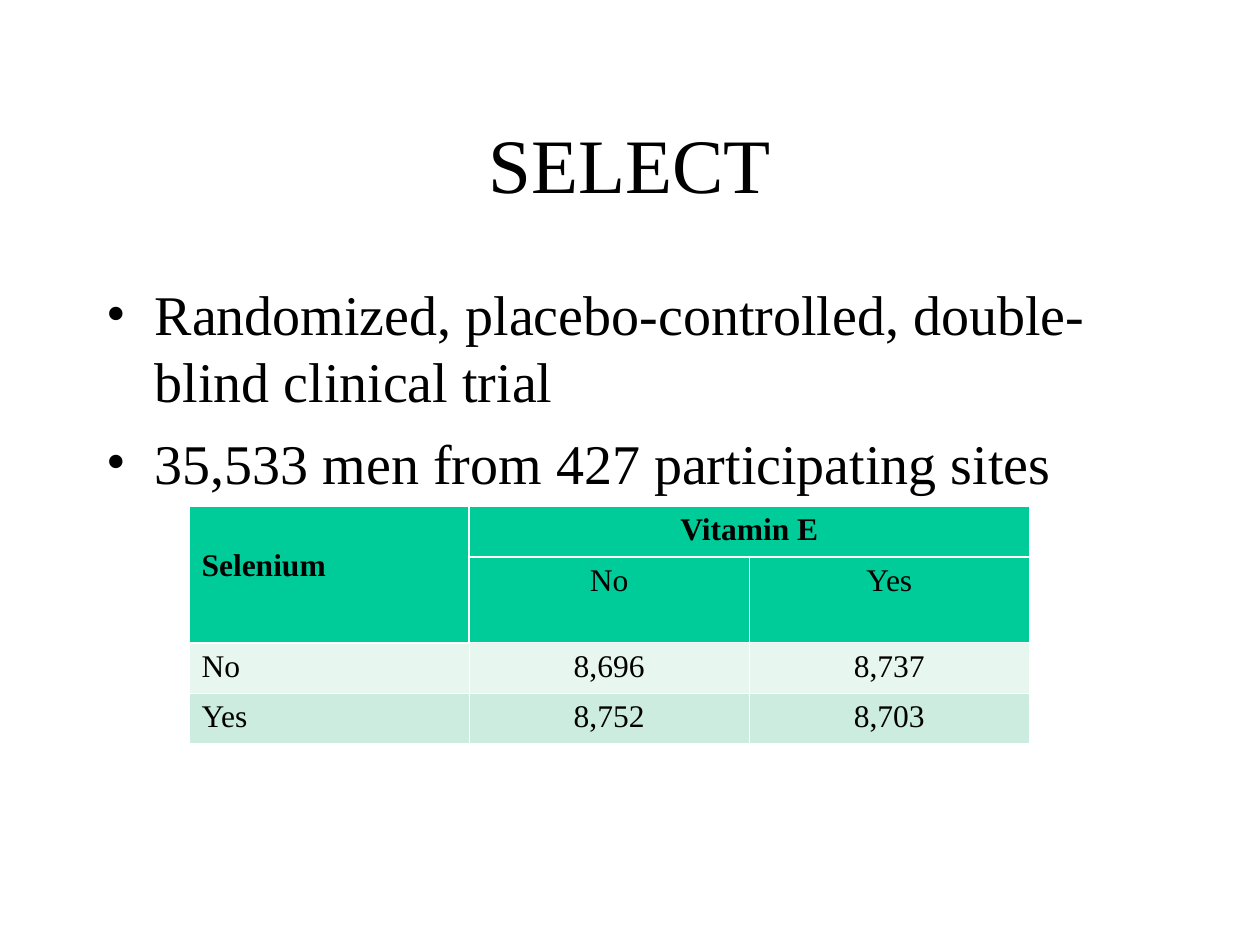
from dataclasses import dataclass

from lxml import etree
from pptx import Presentation
from pptx.dml.color import RGBColor
from pptx.enum import text
from pptx.oxml import ns
from pptx.util import Inches, Pt

FONT = "Times New Roman"
BLACK = RGBColor(0x00, 0x00, 0x00)
WHITE = RGBColor(0xFF, 0xFF, 0xFF)
GREEN = RGBColor(0x00, 0xCC, 0x99)
PALE_GREEN = RGBColor(0xE7, 0xF6, 0xEF)
LIGHT_GREEN = RGBColor(0xCB, 0xEC, 0xDE)
THIN, THICK = Pt(0.45), Pt(1.47)


@dataclass(frozen=True)
class TableRow:
    texts: tuple[str, str, str]
    height: float
    fill: RGBColor
    bold: bool = False


BULLETS = (
    "Randomized, placebo-controlled, double-blind clinical trial",
    "35,533 men from 427 participating sites",
)
ROWS = (
    TableRow(("Selenium", "Vitamin E", ""), 0.38, GREEN, bold=True),
    TableRow(("", "No", "Yes"), 0.66, GREEN),
    TableRow(("No", "8,696", "8,737"), 0.38, PALE_GREEN),
    TableRow(("Yes", "8,752", "8,703"), 0.38, LIGHT_GREEN),
)


def format_runs(paragraph, size: float, bold: bool = False) -> None:
    for run in paragraph.runs:
        run.font.name = FONT
        run.font.size = Pt(size)
        run.font.bold = bold
        run.font.color.rgb = BLACK


def add_title(slide, title: str) -> None:
    shape = slide.shapes.title
    shape.left, shape.top = Inches(0.75), Inches(0.67)
    shape.width, shape.height = Inches(8.5), Inches(1.25)
    frame = shape.text_frame
    frame.text = title
    frame.vertical_anchor = text.MSO_ANCHOR.MIDDLE
    frame.paragraphs[0].alignment = text.PP_ALIGN.CENTER
    format_runs(frame.paragraphs[0], 44)


def add_bullet(paragraph) -> None:
    properties = paragraph._p.get_or_add_pPr()
    indent = Inches(0.38)
    properties.set("marL", str(indent))
    properties.set("indent", str(-indent))
    color = etree.SubElement(properties, ns.qn("a:buClr"))
    etree.SubElement(color, ns.qn("a:srgbClr"), val=str(BLACK))
    etree.SubElement(properties, ns.qn("a:buFont"), typeface=FONT)
    etree.SubElement(properties, ns.qn("a:buChar"), char="•")


def add_bullet_list(slide, items: tuple[str, ...]) -> None:
    box = slide.shapes.add_textbox(
        Inches(0.75), Inches(2.17), Inches(8.5), Inches(4.5))
    frame = box.text_frame
    frame.word_wrap = True
    frame.text = "\n".join(items)
    for index, paragraph in enumerate(frame.paragraphs):
        add_bullet(paragraph)
        if index:
            paragraph.space_before = Pt(8)
        format_runs(paragraph, 32)


def set_borders(cell, **widths: int) -> None:
    """Draw white borders; each keyword is a side (L, R, T or B)."""
    properties = cell._tc.get_or_add_tcPr()
    for side in "LRTB":
        line = etree.SubElement(
            properties, ns.qn(f"a:ln{side}"), w=str(widths.get(side, THIN)))
        fill = etree.SubElement(line, ns.qn("a:solidFill"))
        etree.SubElement(fill, ns.qn("a:srgbClr"), val=str(WHITE))


def header_borders(row: int, column: int) -> dict[str, int]:
    """Thick rules right of and below Selenium, and below Vitamin E."""
    thick = {
        "L": row < 2 and column == 1,
        "R": row < 2 and column == 0,
        "T": (row, column) in ((1, 1), (1, 2), (2, 0)),
        "B": (row, column) in ((0, 0), (0, 1), (0, 2), (1, 0)),
    }
    return {side: THICK for side, wanted in thick.items() if wanted}


def add_trial_table(slide, rows: tuple[TableRow, ...]) -> None:
    height = sum(row.height for row in rows)
    table = slide.shapes.add_table(
        len(rows), 3, Inches(1.5), Inches(4.02),
        Inches(6.67), Inches(height)).table
    for row_index, row in enumerate(rows):
        table.rows[row_index].height = Inches(row.height)
        for column, label in enumerate(row.texts):
            cell = table.cell(row_index, column)
            set_borders(cell, **header_borders(row_index, column))
            cell.fill.solid()
            cell.fill.fore_color.rgb = row.fill
            cell.text = label
            paragraph = cell.text_frame.paragraphs[0]
            if column:
                paragraph.alignment = text.PP_ALIGN.CENTER
            format_runs(paragraph, 18, row.bold)
    selenium, vitamin_e = table.cell(0, 0), table.cell(0, 1)
    selenium.merge(table.cell(1, 0))
    selenium.margin_top = Inches(0.33)
    vitamin_e.merge(table.cell(0, 2))


def main() -> None:
    presentation = Presentation()
    presentation.slide_width = Inches(10)
    presentation.slide_height = Inches(7.5)
    slide = presentation.slides.add_slide(presentation.slide_layouts[5])
    add_title(slide, "SELECT")
    add_bullet_list(slide, BULLETS)
    add_trial_table(slide, ROWS)
    presentation.save("out.pptx")


if __name__ == "__main__":
    main()
